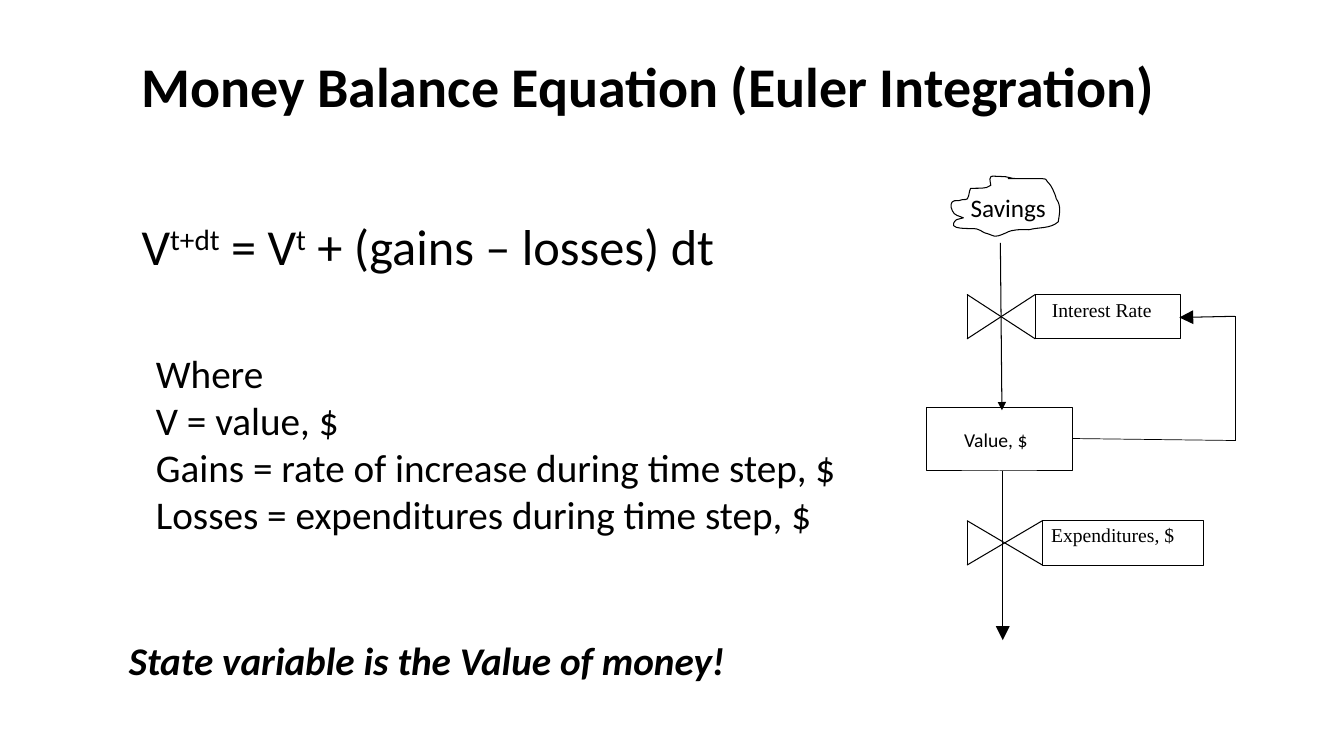
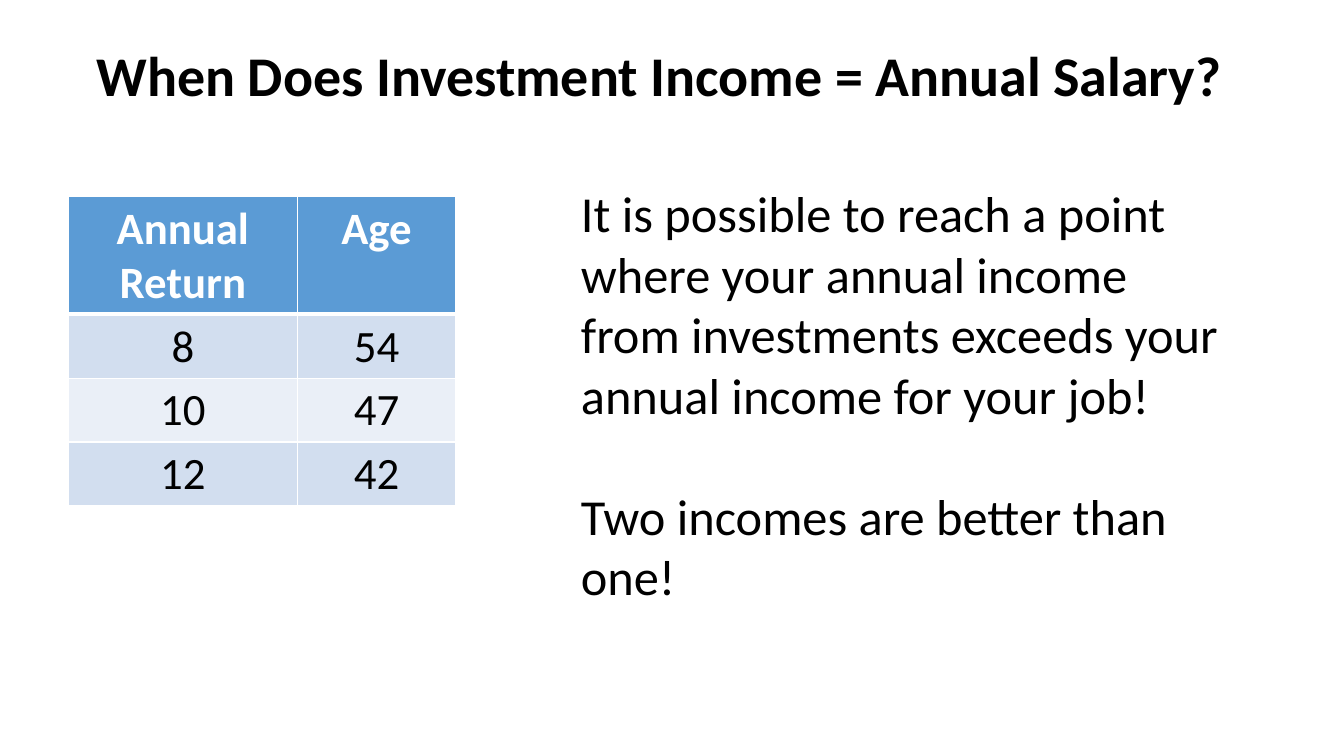
from dataclasses import dataclass

from lxml.etree import SubElement
from pptx import Presentation
from pptx.dml.color import RGBColor
from pptx.enum.shapes import MSO_CONNECTOR, MSO_SHAPE
from pptx.enum.text import MSO_AUTO_SIZE, PP_ALIGN
from pptx.oxml.ns import qn
from pptx.util import Cm, Pt

BLACK = RGBColor(0x00, 0x00, 0x00)
WHITE = RGBColor(0xFF, 0xFF, 0xFF)
HEADER_BLUE = RGBColor(0x5B, 0x9B, 0xD5)
BAND_DARK = RGBColor(0xD2, 0xDE, 0xEF)
BAND_LIGHT = RGBColor(0xEA, 0xEF, 0xF7)
BODY_FONT = "Calibri"
LABEL_FONT = "Times New Roman"

# Cloud outline in cm from its corner: a start, then control, control, end per curve
CLOUD_START = (1.78, 0.13)
CLOUD_CURVES = [
    ((1.68, 0.13), (1.6, 0.08), (1.52, 0.08)),
    ((1.12, 0.08), (1.12, 0), (1.17, 0.3)),
    ((1.04, 0.41), (0.84, 0.36), (0.66, 0.38)),
    ((0.61, 0.48), (0.64, 0.53), (0.58, 0.64)),
    ((0.58, 0.66), (0.51, 0.66), (0.46, 0.66)),
    ((0.41, 0.69), (0.33, 0.69), (0.25, 0.69)),
    ((0.15, 0.71), (0.15, 0.84), (0.2, 0.94)),
    ((0.25, 1.07), (0.38, 1.07), (0.48, 1.12)),
    ((0.43, 1.14), (0.36, 1.14), (0.3, 1.17)),
    ((0, 1.45), (0.69, 1.37), (0.81, 1.4)),
    ((0.91, 1.42), (0.91, 1.45), (1.02, 1.5)),
    ((1.07, 1.52), (1.12, 1.52), (1.17, 1.55)),
    ((1.3, 1.63), (1.42, 1.55), (1.55, 1.5)),
    ((1.73, 1.4), (1.91, 1.42), (2.13, 1.42)),
    ((2.39, 1.35), (2.67, 1.4), (2.87, 1.22)),
    ((2.9, 1.02), (2.95, 0.81), (2.82, 0.64)),
    ((2.79, 0.51), (2.69, 0.28), (2.59, 0.2)),
    ((2.54, 0.13), (2.59, 0.15), (2.44, 0.13)),
    ((2.01, 0.13), (1.96, 0.13), (1.6, 0.13)),
]


@dataclass(frozen=True)
class Valve:
    """A flow regulator: a bow tie with a labelled box on its right (cm)."""
    label: str
    top: float
    tie_width: float
    box_width: float
    label_left: float
    label_top: float
    label_width: float


@dataclass(frozen=True)
class Flow:
    start: tuple[float, float]
    end: tuple[float, float]
    arrow: str = ""
    weight: float = 0.75


VALVE_LEFT, VALVE_HEIGHT = 24.37, 1.12
VALVES = [
    Valve("Interest Rate", 7.42, 1.72, 3.65, 26.26, 7.37, 3.05),
    Valve("Expenditures, $", 13.12, 1.9, 4.06, 26.24, 13.06, 3.63),
]
FLOWS = [
    Flow((25.21, 6.12), (25.25, 10.34), arrow="med"),
    Flow((25.27, 11.86), (25.27, 16.13), arrow="lg"),
    Flow((27.03, 11.05), (31.12, 11.1), weight=0.5),
    Flow((31.12, 11.1), (31.12, 7.97), weight=0.5),
    Flow((31.12, 7.97), (29.72, 8), arrow="lg"),
]


def write_text(frame, paragraphs, *, size, font=BODY_FONT, color=BLACK, bold=False,
               italic=False, align=PP_ALIGN.LEFT, space_before=0, wrap=True):
    """Fill a frame; a paragraph is a string or a list of (text, is_superscript)."""
    frame.word_wrap = wrap
    for index, content in enumerate(paragraphs):
        paragraph = frame.paragraphs[0] if index == 0 else frame.add_paragraph()
        paragraph.alignment = align
        if index and space_before:
            paragraph.space_before = Pt(space_before)
        for text, superscript in [(content, False)] if isinstance(content, str) else content:
            run = paragraph.add_run()
            run.text = text
            run.font.name, run.font.size = font, Pt(size)
            run.font.bold, run.font.italic = bold, italic
            run.font.color.rgb = color
            if superscript:
                run.font._element.set("baseline", "30000")


def add_text(shapes, left: float, top: float, width: float, height: float,
             *paragraphs, wrap=False, **text_format):
    box = shapes.add_textbox(Cm(left), Cm(top), Cm(width), Cm(height))
    box.text_frame.auto_size = MSO_AUTO_SIZE.SHAPE_TO_FIT_TEXT
    write_text(box.text_frame, paragraphs, wrap=wrap, **text_format)


def add_title(shapes, left: float, top: float, width: float, text: str):
    add_text(shapes, left, top, width, 1.96, text, size=40, bold=True)


def style_outline(shape, weight: float = 0.75):
    shape.line.color.rgb = BLACK
    shape.line.width = Pt(weight)


def add_flow(shapes, flow: Flow):
    (x1, y1), (x2, y2) = flow.start, flow.end
    connector = shapes.add_connector(
        MSO_CONNECTOR.STRAIGHT, Cm(x1), Cm(y1), Cm(x2), Cm(y2))
    style_outline(connector, flow.weight)
    if flow.arrow:
        SubElement(connector.line._get_or_add_ln(), qn("a:tailEnd"),
                   type="triangle", w=flow.arrow, len=flow.arrow)
    SubElement(connector._element.spPr, qn("a:effectLst"))


def make_hollow(shape):
    shape.shadow.inherit = False
    shape.fill.background()
    style_outline(shape)


def add_box(shapes, left: float, top: float, width: float, height: float):
    make_hollow(shapes.add_shape(
        MSO_SHAPE.RECTANGLE, Cm(left), Cm(top), Cm(width), Cm(height)))


def add_valve(slide_shapes, valve: Valve):
    shapes = slide_shapes.add_group_shape().shapes
    left, right = VALVE_LEFT, VALVE_LEFT + valve.tie_width
    top, bottom = valve.top, valve.top + VALVE_HEIGHT
    add_text(shapes, valve.label_left, valve.label_top, valve.label_width, 0.86,
             valve.label, size=14, font=LABEL_FONT)
    corners = [(left, top), (left, bottom), (right, top), (right, bottom), (left, top)]
    for start, end in zip(corners, corners[1:]):
        add_flow(shapes, Flow(start, end))
    add_box(shapes, right, top, valve.box_width, VALVE_HEIGHT)


def add_cloud(shapes, left: float, top: float):
    """Draw the control points as a polyline, then join each three into a curve."""
    def place(point: tuple[float, float]) -> tuple[int, int]:
        return Cm(left + point[0]), Cm(top + point[1])

    builder = shapes.build_freeform(*place(CLOUD_START))
    builder.add_line_segments(
        [place(point) for curve in CLOUD_CURVES for point in curve], close=False)
    cloud = builder.convert_to_shape()
    outline = next(cloud._element.iter(qn("a:path")))
    segments = outline.findall(qn("a:lnTo"))
    for index in range(0, len(segments), 3):
        curve = SubElement(outline, qn("a:cubicBezTo"))
        for segment in segments[index:index + 3]:
            curve.append(segment[0])
            outline.remove(segment)
    make_hollow(cloud)


def set_cell_borders(cell, bottom: float):
    properties = cell._tc.get_or_add_tcPr()
    for position, (side, weight) in enumerate(
            [("lnL", 1), ("lnR", 1), ("lnT", 1), ("lnB", bottom)]):
        line = properties.makeelement(qn(f"a:{side}"), {"w": str(Pt(weight))})
        fill = SubElement(line, qn("a:solidFill"))
        SubElement(fill, qn("a:srgbClr"), val=str(WHITE))
        properties.insert(position, line)


def add_return_table(shapes):
    rows = [("Annual Return", "Age"), ("8", "54"), ("10", "47"), ("12", "42")]
    widths, heights = (5.76, 4), (2.97, 1.61, 1.61, 1.61)
    table = shapes.add_table(
        len(rows), len(widths), Cm(1.73), Cm(4.95), Cm(sum(widths)), Cm(sum(heights))).table
    for column, width in zip(table.columns, widths):
        column.width = Cm(width)
    for index, (texts, height) in enumerate(zip(rows, heights)):
        table.rows[index].height = Cm(height)
        header = index == 0
        band = HEADER_BLUE if header else BAND_DARK if index % 2 else BAND_LIGHT
        for cell, text in zip(table.rows[index].cells, texts):
            cell.fill.solid()
            cell.fill.fore_color.rgb = band
            set_cell_borders(cell, bottom=3 if header else 1)
            write_text(cell.text_frame, [text], size=32, bold=header,
                       color=WHITE if header else BLACK, align=PP_ALIGN.CENTER)


def build_balance_slide(shapes):
    add_title(shapes, 3.32, 1.17, 26.34, "Money Balance Equation (Euler Integration)")
    equation = [("V", False), ("t+dt", True), (" = V", False), ("t", True),
                (" + (gains – losses) dt", False)]
    add_text(shapes, 3.32, 5.29, 15.29, 1.8, equation, size=36)
    add_text(shapes, 3.68, 8.67, 17.83, 5.05, "Where", "V = value, $",
             "Gains = rate of increase during time step, $",
             "Losses = expenditures during time step, $", size=28)
    add_text(shapes, 3, 15.9, 16.21, 1.45, "State variable is the Value of money!",
             size=28, bold=True, italic=True)
    add_cloud(shapes, 23.8, 4.37)
    add_text(shapes, 24.21, 4.72, 2.44, 1.02, "Savings", size=18)
    for valve in VALVES:
        add_valve(shapes, valve)
    add_box(shapes, 23.34, 10.27, 3.68, 1.6)
    add_text(shapes, 24.05, 10.67, 2.13, 0.86, "Value, $", size=14)
    for flow in FLOWS:
        add_flow(shapes, flow)


def build_income_slide(shapes):
    add_title(shapes, 2.18, 0.89, 29.18, "When Does Investment Income = Annual Salary?")
    add_return_table(shapes)
    add_text(shapes, 14.39, 4.47, 16.61, 11.02,
             "It is possible to reach a point where your annual income from investments "
             "exceeds your annual income for your job!",
             "Two incomes are better than one!", size=36, space_before=43.2, wrap=True)


def main():
    presentation = Presentation()
    presentation.slide_width, presentation.slide_height = Cm(33.87), Cm(19.05)
    blank = presentation.slide_layouts[6]
    for build in (build_balance_slide, build_income_slide):
        build(presentation.slides.add_slide(blank).shapes)
    presentation.save("out.pptx")


if __name__ == "__main__":
    main()
